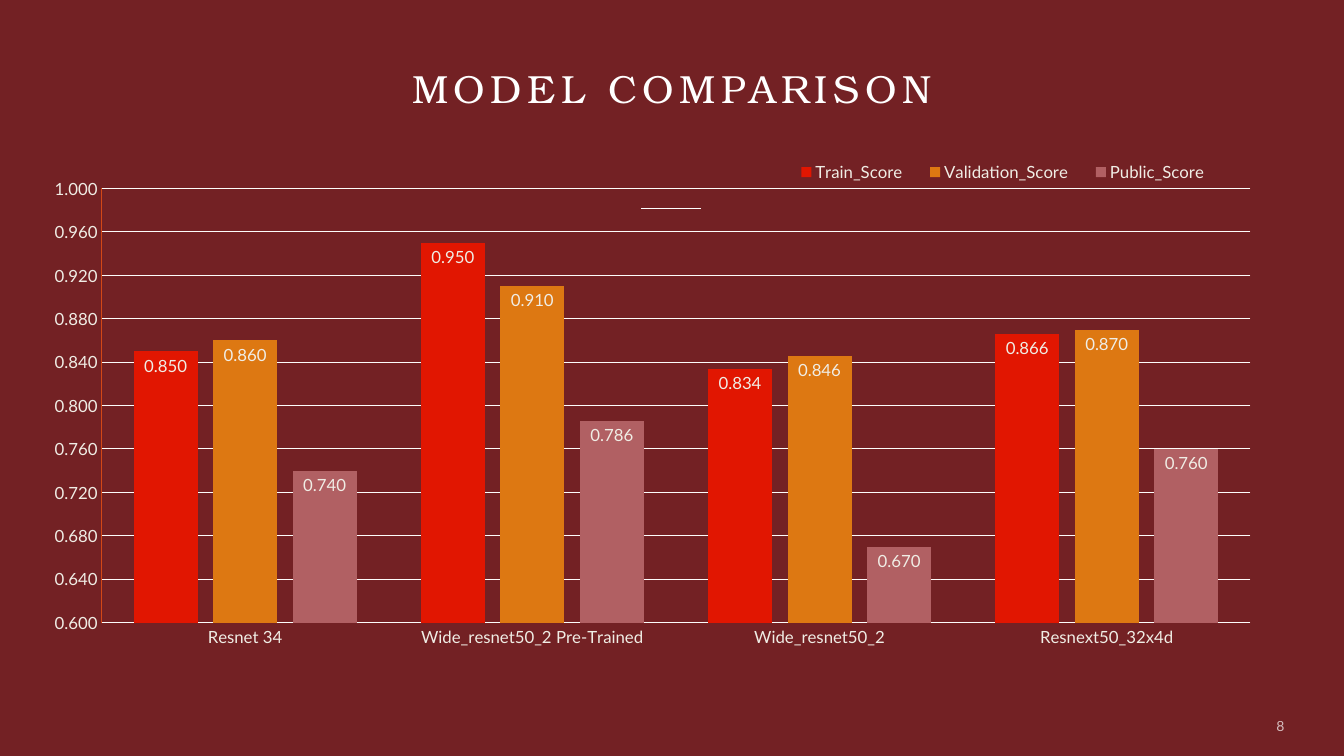
import pptx
import pptx.chart.data
import pptx.dml.color
import pptx.enum.chart
import pptx.enum.shapes
import pptx.enum.text
import pptx.oxml
import pptx.oxml.ns
import pptx.util

Pt = pptx.util.Pt
RGB = pptx.dml.color.RGBColor
qn = pptx.oxml.ns.qn

WINE = RGB(0x73, 0x21, 0x24)
WHITE = RGB(0xFF, 0xFF, 0xFF)
CREAM = RGB(0xF0, 0xED, 0xE5)
PALE = RGB(0xFD, 0xFC, 0xFB)
RUST = RGB(0xD3, 0x48, 0x17)
RED = RGB(0xE1, 0x16, 0x01)
AMBER = RGB(0xDD, 0x78, 0x12)
ROSE = RGB(0xB1, 0x60, 0x63)

SANS = "Lato"
SERIF = "TeX Gyre Bonum"

MODELS = ["Resnet 34", "Wide_resnet50_2 Pre-Trained", "Wide_resnet50_2", "Resnext50_32x4d"]
SCORES = [
    ("Train_Score", [0.85, 0.95, 0.834, 0.866], RED),
    ("Validation_Score", [0.86, 0.91, 0.846, 0.87], AMBER),
    ("Public_Score", [0.74, 0.786, 0.67, 0.76], ROSE),
]


def style(font, size, color=CREAM, name=SANS):
    font.size = Pt(size)
    font.name = name
    font.bold = False
    font.color.rgb = color


def trace(line, color, width=0.75):
    line.color.rgb = color
    line.width = Pt(width)


def write(shape, text, align, anchor):
    """Fill a shape with one line of text, without margins; return its font."""
    frame = shape.text_frame
    frame.word_wrap = True
    frame.auto_size = pptx.enum.text.MSO_AUTO_SIZE.NONE
    frame.margin_left = frame.margin_right = 0
    frame.margin_top = frame.margin_bottom = 0
    frame.vertical_anchor = anchor
    frame.text = text
    frame.paragraphs[0].alignment = align
    return frame.paragraphs[0].font


def space(font, points):
    font._element.set("spc", str(points * 100))


def place(parent, index, box, inner=False):
    """Pin a chart part to a box given as fractions of the chart."""
    old = parent.find(qn("c:layout"))
    if old is not None:
        parent.remove(old)
    target = '<c:layoutTarget val="inner"/>' if inner else ""
    modes = "".join(f'<c:{key}Mode val="edge"/>' for key in "xy")
    sizes = "".join(f'<c:{key} val="{part}"/>' for key, part in zip("xywh", box))
    parent.insert(index, pptx.oxml.parse_xml(
        f'<c:layout {pptx.oxml.ns.nsdecls("c")}><c:manualLayout>'
        f"{target}{modes}{sizes}</c:manualLayout></c:layout>"))


def add_title(slide, left, top, width, height):
    title = slide.shapes.title
    title.left, title.top, title.width, title.height = map(Pt, (left, top, width, height))
    font = write(title, "MODEL COMPARISON", pptx.enum.text.PP_ALIGN.CENTER,
                 pptx.enum.text.MSO_ANCHOR.BOTTOM)
    style(font, 28, WHITE, SERIF)
    space(font, 4)


def add_rule(slide, left, top, width):
    rule = slide.shapes.add_connector(pptx.enum.shapes.MSO_CONNECTOR.STRAIGHT,
                                      Pt(left), Pt(top), Pt(left + width), Pt(top))
    trace(rule.line, WHITE, 1)
    rule._element.spPr.append(pptx.oxml.parse_xml(
        f'<a:effectLst {pptx.oxml.ns.nsdecls("a")}/>'))


def add_number(slide, left, top, width, height):
    box = slide.shapes.add_textbox(Pt(left), Pt(top), Pt(width), Pt(height))
    font = write(box, "8", pptx.enum.text.PP_ALIGN.RIGHT,
                 pptx.enum.text.MSO_ANCHOR.MIDDLE)
    style(font, 10, WHITE)
    space(font, 3)
    tint = font._element.find(".//" + qn("a:srgbClr"))
    tint.append(pptx.oxml.parse_xml(
        f'<a:alpha {pptx.oxml.ns.nsdecls("a")} val="70000"/>'))


def style_axis(axis, color):
    axis.major_tick_mark = axis.minor_tick_mark = pptx.enum.chart.XL_TICK_MARK.NONE
    style(axis.tick_labels.font, 12)
    trace(axis.format.line, color)


def add_scores(slide, left, top, width, height):
    data = pptx.chart.data.CategoryChartData(number_format="0.000")
    data.categories = MODELS
    for name, values, _ in SCORES:
        data.add_series(name, values)
    chart = slide.shapes.add_chart(
        pptx.enum.chart.XL_CHART_TYPE.COLUMN_CLUSTERED,
        Pt(left), Pt(top), Pt(width), Pt(height), data).chart
    chart.has_title = False
    style(chart.font, 10, WHITE)

    style_axis(chart.category_axis, PALE)
    scale = chart.value_axis
    style_axis(scale, RUST)
    scale.minimum_scale, scale.maximum_scale, scale.major_unit = 0.6, 1, 0.04
    scale.tick_labels.number_format = "0.000"
    scale.tick_labels.number_format_is_linked = False
    trace(scale.major_gridlines.format.line, PALE)

    plot = chart.plots[0]
    plot.gap_width, plot.overlap, plot.vary_by_categories = 100, -24, False
    for bars, (_, _, color) in zip(plot.series, SCORES):
        bars.format.fill.solid()
        bars.format.fill.fore_color.rgb = color
        labels = bars.data_labels
        labels.show_value = True
        labels.position = pptx.enum.chart.XL_LABEL_POSITION.INSIDE_END
        labels.number_format = "#,##0.000"
        labels.number_format_is_linked = False
        style(labels.font, 12)

    chart.has_legend = True
    legend = chart.legend
    legend.position = pptx.enum.chart.XL_LEGEND_POSITION.BOTTOM
    legend.include_in_layout = False
    style(legend.font, 12)
    place(legend._element, 1, (0.61, 0.01, 0.37, 0.05))
    area = chart._chartSpace.chart.plotArea
    place(area, 0, (0.049, 0.065, 0.951, 0.799), inner=True)


def main():
    deck = pptx.Presentation()
    deck.slide_width, deck.slide_height = Pt(960), Pt(540)
    slide = deck.slides.add_slide(deck.slide_layouts[5])
    slide.background.fill.solid()
    slide.background.fill.fore_color.rgb = WINE
    add_rule(slide, 458, 149, 42.5)
    add_number(slide, 744, 504, 173.5, 28.8)
    add_scores(slide, 30.24, 109.44, 863.28, 388.08)
    add_title(slide, 42.5, 22.3, 874.8, 57.6)
    deck.save("out.pptx")


if __name__ == "__main__":
    main()
